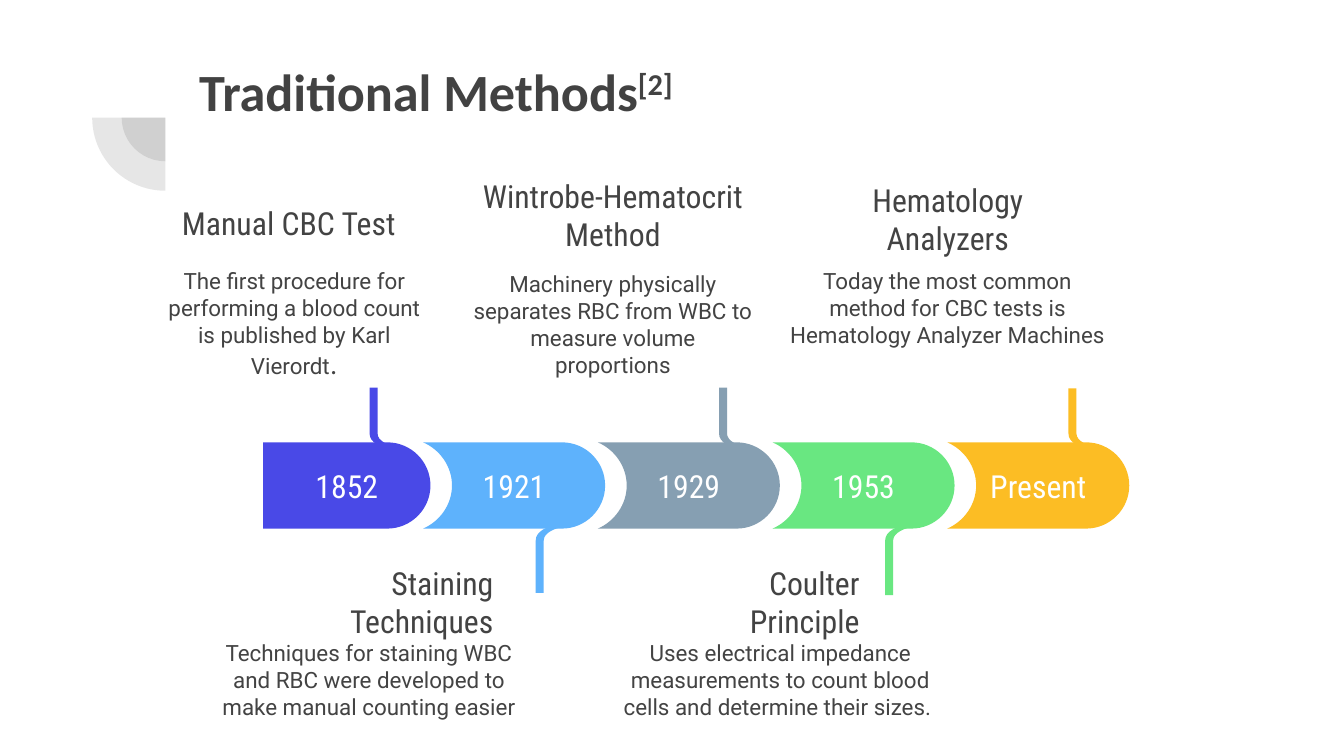
from dataclasses import dataclass
from itertools import chain

from lxml.etree import SubElement
from pptx import Presentation
from pptx.dml.color import RGBColor
from pptx.enum.shapes import MSO_SHAPE as Preset
from pptx.enum.text import MSO_ANCHOR as Anchor, PP_ALIGN as Align
from pptx.oxml.ns import qn
from pptx.util import Pt

Point = tuple[float, float]
Area = tuple[float, float, float, float]
Segment = tuple[Point, ...]


@dataclass(frozen=True)
class Theme:
    dark: str = "424242"
    text: str = "434343"
    white: str = "FFFFFF"
    title_font: str = "Calibri"
    heading_font: str = "Roboto Condensed"
    body_font: str = "Roboto"
    stop_font: str = "League Spartan"
    title_size: float = 28
    heading_size: float = 17
    stop_size: float = 14
    body_size: float = 12
    inset: float = 7.2


@dataclass(frozen=True)
class Run:
    text: str
    font: str
    size: float
    color: str
    bold: bool = False
    baseline: int = 0


@dataclass(frozen=True)
class Stage:
    label: str
    color: str
    stem_tip: float
    heading: str
    heading_area: Area
    heading_align: Align
    body: str
    body_area: Area
    ending: str = ""


THEME = Theme()
BAND_TOP, BAND_BOTTOM = 237.0, 283.2
BAND_MIDDLE = (BAND_TOP + BAND_BOTTOM) / 2
FIRST_RIGHT, PITCH = 230.6, 93.6
STAGES = [
    Stage("1852", "4949E7", 207.6,
          "Manual CBC Test", (90, 102.5, 129.1, 33.8), Align.RIGHT,
          "The first procedure for performing a blood count is published by Karl Vierordt",
          (78.9, 136.1, 157.7, 41.8), "."),
    Stage("1921", "5EB2FC", 317.6,
          "Staining Techniques", (127.5, 305.6, 144, 33.8), Align.RIGHT,
          "Techniques for staining WBC and RBC were developed to make manual counting easier",
          (108.4, 335.1, 178.6, 41.8)),
    Stage("1929", "869FB2", 207.6,
          "Wintrobe-Hematocrit Method", (238.7, 102.2, 179.3, 25.9), Align.CENTER,
          "Machinery physically separates RBC from WBC to measure volume proportions",
          (245.6, 137.5, 165.6, 41.8)),
    Stage("1953", "69E781", 318.8,
          "Coulter Principle", (347.6, 305.6, 120, 33.8), Align.RIGHT,
          "Uses electrical impedance measurements to count blood cells and determine their sizes. ",
          (324.8, 335.1, 186.5, 41.8)),
    Stage("Present", "FCBD24", 208,
          "Hematology Analyzers", (427.8, 98.6, 160, 37.4), Align.CENTER,
          "Today the most common method for CBC tests is Hematology Analyzer Machines",
          (414.4, 136.1, 186.5, 56.2)),
]


def band_outline(left: float, right: float, notched: bool) -> list[Segment]:
    radius = (BAND_BOTTOM - BAND_TOP) / 2
    pull = radius * 0.45
    shoulder = right - radius
    outline = [
        ((left, BAND_TOP),),
        ((shoulder, BAND_TOP),),
        ((right - pull, BAND_TOP), (right, BAND_TOP + pull), (right, BAND_MIDDLE)),
        ((right, BAND_BOTTOM - pull), (right - pull, BAND_BOTTOM), (shoulder, BAND_BOTTOM)),
        ((left, BAND_BOTTOM),),
    ]
    if notched:
        near, deep = left + 8.9, left + 15.5
        outline += [
            ((near, BAND_BOTTOM - 3.8), (deep, BAND_BOTTOM - 12.8), (deep, BAND_MIDDLE)),
            ((deep, BAND_TOP + 12.8), (near, BAND_TOP + 3.8), (left, BAND_TOP)),
        ]
    return outline


def stem_outline(left: float, tip: float) -> list[Segment]:
    side = 1 if tip < BAND_MIDDLE else -1
    foot = BAND_TOP + 4.3 if side == 1 else BAND_BOTTOM - 2.7

    def at(x: float, rise: float) -> Point:
        return left + x, foot - side * rise

    return [
        ((left, tip),),
        (at(0, 9),),
        (at(0, 4.5), at(5.4, 1.4), at(13.7, 0)),
        (at(18, 0),),
        (at(18, 1),),
        (at(10.1, 2.2), at(4.3, 5), at(4.3, 9)),
        ((left + 4.3, tip),),
    ]


def paint(shape, color: str) -> None:
    shape.shadow.inherit = False
    shape.fill.solid()
    shape.fill.fore_color.rgb = RGBColor.from_string(color)
    shape.line.fill.background()


def draw_outline(slide, segments: list[Segment], color: str):
    (x, y), *others = chain.from_iterable(segments)
    builder = slide.shapes.build_freeform(Pt(x), Pt(y))
    builder.add_line_segments([(Pt(a), Pt(b)) for a, b in others], close=True)
    shape = builder.convert_to_shape()
    lines = iter(list(shape._element.iter(qn("a:lnTo"))))
    for segment in segments[1:]:
        first, *rest = [next(lines) for _ in segment]
        for line in rest:
            first.append(line[0])
            line.getparent().remove(line)
        if rest:
            first.tag = qn("a:cubicBezTo")
    paint(shape, color)
    return shape


def write(shape, runs: list[Run], align: Align, anchor: Anchor) -> None:
    frame = shape.text_frame
    frame.word_wrap = True
    frame.vertical_anchor = anchor
    frame.margin_left = frame.margin_right = Pt(THEME.inset)
    frame.margin_top = frame.margin_bottom = Pt(THEME.inset)
    para = frame.paragraphs[0]
    para.alignment = align
    for run in runs:
        span = para.add_run()
        span.text = run.text
        span.font.name = run.font
        span.font.size = Pt(run.size)
        span.font.bold = run.bold
        span.font.color.rgb = RGBColor.from_string(run.color)
        if run.baseline:
            span._r.get_or_add_rPr().set("baseline", str(run.baseline))


def add_text(slide, area: Area, runs: list[Run], align: Align, anchor: Anchor) -> None:
    box = slide.shapes.add_textbox(*(Pt(value) for value in area))
    write(box, runs, align, anchor)


def add_quarter(slide, radius: float) -> None:
    center_x, center_y = 88.6, 63
    pie = slide.shapes.add_shape(Preset.PIE, Pt(center_x - radius), Pt(center_y - radius),
                                 Pt(2 * radius), Pt(2 * radius))
    pie.adjustments[0], pie.adjustments[1] = 108, 162
    pie.rotation = 270
    paint(pie, THEME.dark)
    tint = pie._element.spPr.find(".//" + qn("a:srgbClr"))
    SubElement(tint, qn("a:alpha")).set("val", "13000")


def add_stage(slide, index: int, stage: Stage) -> None:
    right = FIRST_RIGHT + index * PITCH
    left = right - (97.5 if index else 89.6)
    stem_left = right - (32.6 if stage.stem_tip < BAND_MIDDLE else 37.2)
    draw_outline(slide, stem_outline(stem_left, stage.stem_tip), stage.color)
    band = draw_outline(slide, band_outline(left, right, index > 0), stage.color)
    write(band, [Run(stage.label, THEME.heading_font, THEME.heading_size, THEME.white)],
          Align.CENTER, Anchor.MIDDLE)
    body = [Run(stage.body, THEME.body_font, THEME.body_size, THEME.text)]
    if stage.ending:
        body.append(Run(stage.ending, THEME.stop_font, THEME.stop_size, THEME.dark))
    add_text(slide, stage.body_area, body, Align.CENTER, Anchor.TOP)
    add_text(slide, stage.heading_area,
             [Run(stage.heading, THEME.heading_font, THEME.heading_size, THEME.text)],
             stage.heading_align, Anchor.MIDDLE)


def main() -> None:
    deck = Presentation()
    deck.slide_width, deck.slide_height = Pt(720), Pt(405)
    page = deck.slides.add_slide(deck.slide_layouts[6])
    for radius in (23.4, 39.2):
        add_quarter(page, radius)
    title = [Run("Traditional Methods", THEME.title_font, THEME.title_size, THEME.dark, True),
             Run("[2]", THEME.title_font, THEME.title_size, THEME.dark, True, 30000)]
    add_text(page, (99.6, 24.5, 553.7, 56.2), title, Align.JUSTIFY, Anchor.TOP)
    for index, stage in enumerate(STAGES):
        add_stage(page, index, stage)
    deck.save("out.pptx")


if __name__ == "__main__":
    main()
